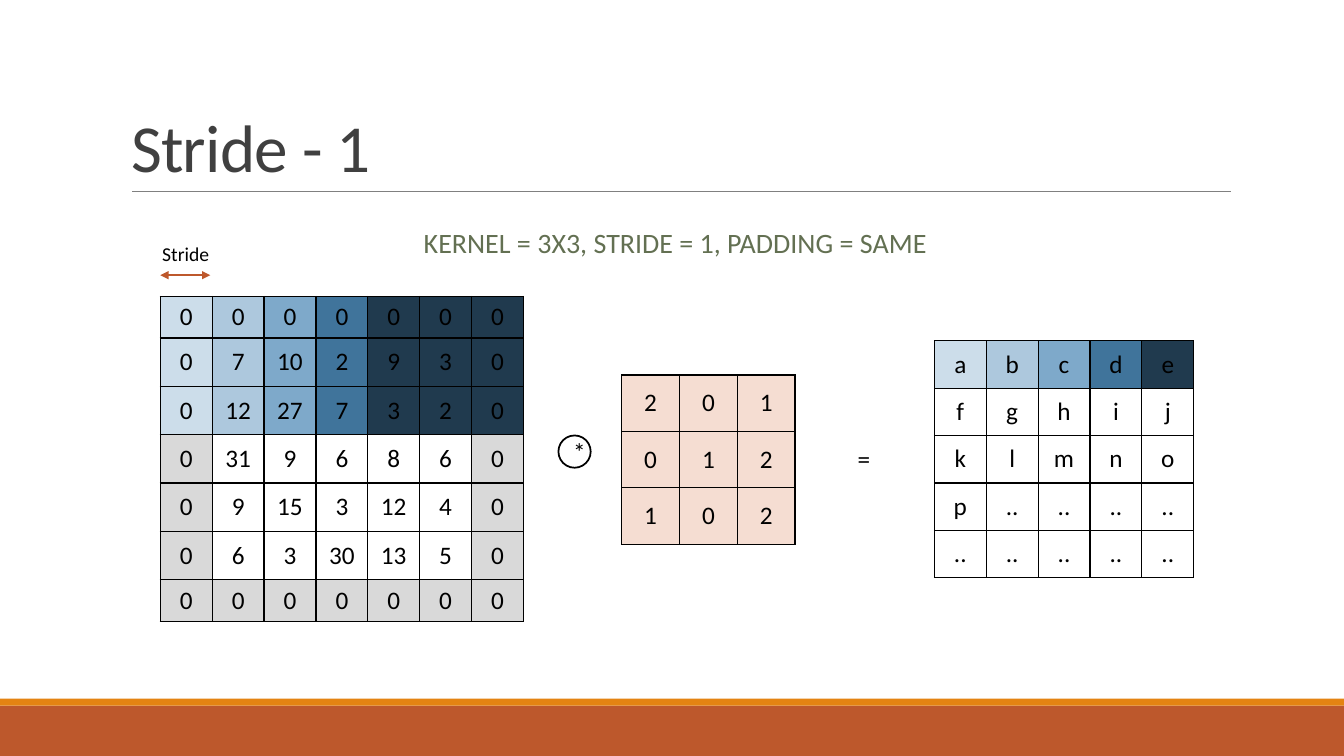
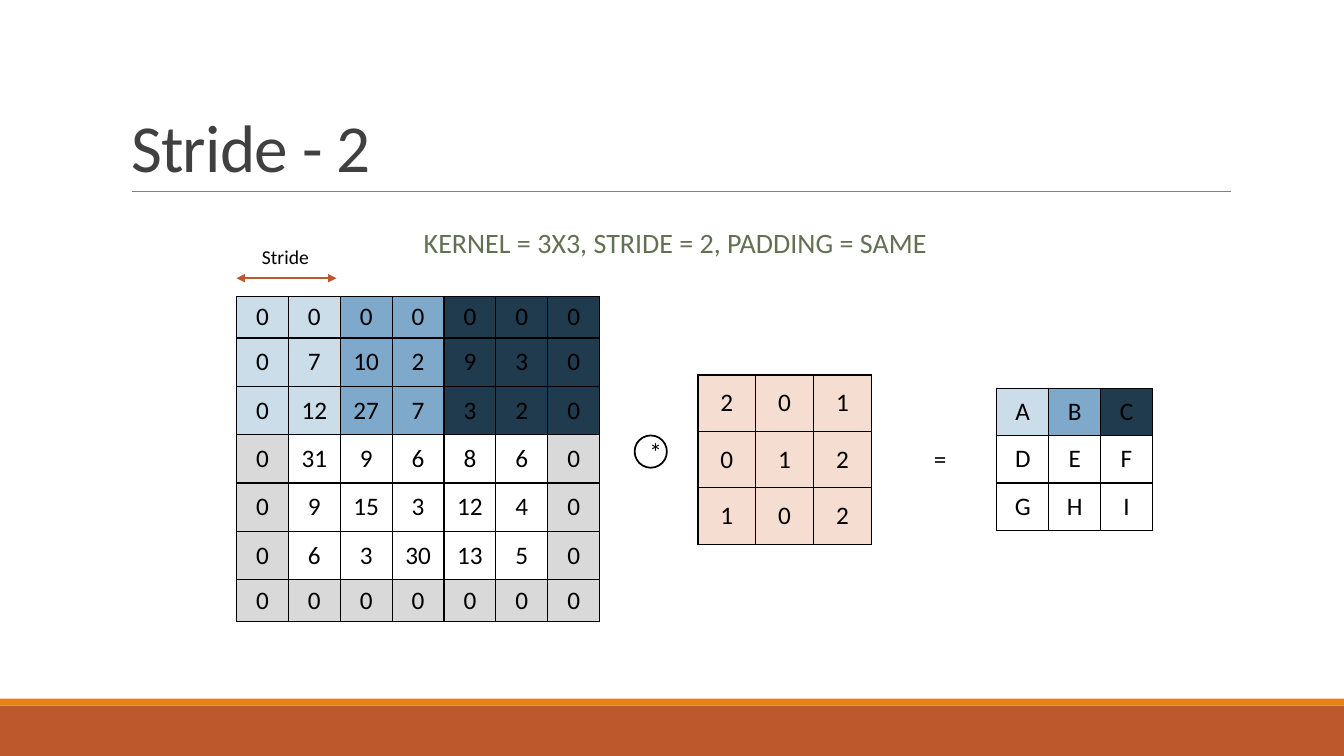
from dataclasses import dataclass

from lxml import etree
from pptx import Presentation
from pptx import util as u
from pptx.dml.color import RGBColor
from pptx.enum import shapes, text
from pptx.oxml import parse_xml
from pptx.oxml.ns import nsdecls, qn


@dataclass(frozen=True)
class Theme:
    font: str = "Calibri"
    black: str = "000000"
    title: str = "404040"
    subtitle: str = "637052"
    rule: str = "808080"
    rust: str = "BD582C"
    orange: str = "E48312"
    padding: str = "D9D9D9"
    kernel: str = "F5DDD2"
    blues: tuple = ("CCDDEA", "ADC8DD", "7EA9CA", "40749B", "203A4E")
    title_size: int = 48
    subtitle_size: int = 20
    text_size: int = 18
    label_size: int = 14


theme = Theme()
rgb = RGBColor.from_string
deck = Presentation()
deck.slide_width, deck.slide_height = u.Inches(13.333), u.Inches(7.5)

FIXED = {"auto_size": text.MSO_AUTO_SIZE.NONE, "word_wrap": True}
GROWING = {"auto_size": text.MSO_AUTO_SIZE.SHAPE_TO_FIT_TEXT, "word_wrap": True}
CENTRED = {"alignment": text.PP_ALIGN.CENTER}
STYLES = {
    "title": {
        "frame": {**FIXED, "vertical_anchor": text.MSO_ANCHOR.BOTTOM},
        "para": {"alignment": text.PP_ALIGN.LEFT, "line_spacing": 0.85},
        "font": {"size": u.Pt(theme.title_size)},
        "color": theme.title,
    },
    "subtitle": {
        "frame": {**FIXED, "vertical_anchor": text.MSO_ANCHOR.MIDDLE},
        "para": {**CENTRED, "line_spacing": 0.9,
                 "space_before": u.Pt(12), "space_after": u.Pt(2)},
        "font": {"size": u.Pt(theme.subtitle_size)},
        "color": theme.subtitle,
    },
    "cell": {"para": CENTRED, "font": {"size": u.Pt(theme.text_size)}},
    "operator": {
        "frame": {**FIXED, "vertical_anchor": text.MSO_ANCHOR.MIDDLE},
        "para": CENTRED,
        "font": {"size": u.Pt(theme.text_size)},
    },
    "equals": {"frame": GROWING, "font": {"size": u.Pt(theme.text_size)}},
    "label": {"frame": GROWING, "font": {"size": u.Pt(theme.label_size)}},
}


def area(left, top, width, height):
    """Turn percentages of the slide's width and height into lengths."""
    across, down = deck.slide_width / 100, deck.slide_height / 100
    return [round(n) for n in (left * across, top * down, width * across, height * down)]


def write(frame, words, style_name):
    """Fill a text frame with one styled paragraph and return that paragraph."""
    style = STYLES[style_name]
    frame.text = words
    para = frame.paragraphs[0]
    span = para.runs[0]
    for target, part in ((frame, "frame"), (para, "para"), (span.font, "font")):
        for name, value in style.get(part, {}).items():
            setattr(target, name, value)
    span.font.name = theme.font
    span.font.color.rgb = rgb(style.get("color", theme.black))
    return para


# Shared layout: placeholders, footer bands and the rule under the title
layout = deck.slide_layouts[1]
title_holder, body_holder, *unused = layout.placeholders
for holder in unused:
    holder.element.getparent().remove(holder.element)
for holder, place in ((title_holder, area(9, 4.13, 82.5, 21.2)),
                      (body_holder, area(30, 26.93, 40.5, 10.8))):
    holder.left, holder.top, holder.width, holder.height = place

pages = [deck.slides.add_slide(layout) for _ in range(2)]
decor = []
for color, place in ((theme.rust, area(0, 93.33, 100, 6.67)),
                     (theme.orange, area(0, 92.4, 100, 0.93))):
    band = pages[0].shapes.add_shape(shapes.MSO_SHAPE.RECTANGLE, *place)
    band.shadow.inherit = False
    band.fill.solid()
    band.fill.fore_color.rgb = rgb(color)
    band.line.fill.background()
    decor.append(band)
rule = pages[0].shapes.add_connector(
    shapes.MSO_CONNECTOR.STRAIGHT, *area(9.83, 25.33, 91.58, 25.33))
rule.line.color.rgb = rgb(theme.rule)
rule.line.width = u.Pt(0.5)
etree.SubElement(rule.element.spPr, qn("a:effectLst"))
decor.append(rule)
for order, part in enumerate(decor):
    part.element.xpath(".//p:cNvPr")[0].set("id", str(100 + order))
    layout.shapes.element.insert(2 + order, part.element)

# Values and measures of the convolution
PIXELS = [
    [0, 0, 0, 0, 0, 0, 0],
    [0, 7, 10, 2, 9, 3, 0],
    [0, 12, 27, 7, 3, 2, 0],
    [0, 31, 9, 6, 8, 6, 0],
    [0, 9, 15, 3, 12, 4, 0],
    [0, 6, 3, 30, 13, 5, 0],
    [0, 0, 0, 0, 0, 0, 0],
]
KERNEL = [[2, 0, 1], [0, 1, 2], [1, 0, 2]]
WINDOW = len(KERNEL)
COLUMN, KERNEL_COLUMN = 3.86, 4.3
PIXEL_ROWS = [5.47] + [6.4] * 5 + [5.47]
OUTPUT_ROW, KERNEL_ROW = 6.27, 7.47
STEP = 3.72

cases = [
    {"stride": 1, "left": 11.93, "output_left": 69.52, "arrow_top": 36.4,
     "label_shift": -0.6, "shades": theme.blues,
     "output": ["abcde", "fghij", "klmno", ["p"] + [".."] * 4, [".."] * 5]},
    {"stride": 2, "left": 17.6, "output_left": 74.17, "arrow_top": 36.8,
     "label_shift": 1.15, "shades": theme.blues[::2],
     "output": ["ABC", "DEF", "GHI"]},
]

for page, case in zip(pages, cases):
    stride, left, shades = case["stride"], case["left"], case["shades"]
    title = write(page.shapes.title.text_frame, f"Stride - {stride}", "title")
    title.runs[0].font._element.set("spc", "-50")
    subtitle = write(page.placeholders[1].text_frame,
                     f"KERNEL = 3X3, STRIDE = {stride}, PADDING = SAME", "subtitle")
    properties = subtitle._p.get_or_add_pPr()
    for name in ("marL", "indent"):
        properties.set(name, "0")
    etree.SubElement(properties, qn("a:buNone"))

    # Each stride of columns takes the shade of the output cell it feeds
    last = len(PIXELS) - 1
    pixel_fills = [
        [shades[min(col // stride, len(shades) - 1)] if row < WINDOW
         else theme.padding if row == last or col in (0, last) else None
         for col in range(last + 1)]
        for row in range(last + 1)]
    size = len(case["output"])
    output_fills = [shades] + [[None] * size] * (size - 1)
    kernel_fills = [[theme.kernel] * WINDOW] * WINDOW

    for values, fills, start, middle, column, rows in (
            (PIXELS, pixel_fills, left, 60.7, COLUMN, PIXEL_ROWS),
            (case["output"], output_fills, case["output_left"], 60.75, COLUMN,
             [OUTPUT_ROW] * size),
            (KERNEL, kernel_fills, left + 34.33, 60.8, KERNEL_COLUMN,
             [KERNEL_ROW] * WINDOW)):
        height, count = sum(rows), len(values[0])
        place = area(start, middle - height / 2, column * count, height)
        table = page.shapes.add_table(len(rows), count, *place).table
        table.first_row = table.horz_banding = False
        for grid_column in table.columns:
            grid_column.width = area(0, 0, column, 0)[2]
        for row, row_height in enumerate(rows):
            table.rows[row].height = area(0, 0, 0, row_height)[3]
            for col in range(count):
                cell = table.cell(row, col)
                write(cell.text_frame, str(values[row][col]), "cell")
                cell.vertical_anchor = text.MSO_ANCHOR.MIDDLE
                for side in "LRTB":
                    cell._tc.get_or_add_tcPr().append(parse_xml(
                        f'<a:ln{side} {nsdecls("a")} w="12700"><a:solidFill>'
                        f'<a:srgbClr val="{theme.black}"/></a:solidFill></a:ln{side}>'))
                if fills[row][col]:
                    cell.fill.solid()
                    cell.fill.fore_color.rgb = rgb(fills[row][col])
                else:
                    cell.fill.background()

    circle = page.shapes.add_shape(
        shapes.MSO_SHAPE.OVAL, *area(left + 29.62, 57.6, 2.4, 4.27))
    circle.shadow.inherit = False
    circle.fill.background()
    circle.line.color.rgb = rgb(theme.black)
    circle.line.width = u.Pt(1.25)
    write(circle.text_frame, "*", "operator")

    top = case["arrow_top"]
    for words, style_name, place in (
            ("=", "equals", area(left + 51.15, 58, 5.48, 5.33)),
            ("Stride", "label", area(left + case["label_shift"], top - 5.07, 8.63, 4.53))):
        box = page.shapes.add_textbox(*place)
        write(box.text_frame, words, style_name)

    arrow = page.shapes.add_connector(
        shapes.MSO_CONNECTOR.STRAIGHT, *area(left, top, left + STEP * stride, top))
    arrow.line.color.rgb = rgb(theme.rust)
    arrow.line.width = u.Pt(1)
    for end in ("a:headEnd", "a:tailEnd"):
        etree.SubElement(arrow.line._get_or_add_ln(), qn(end), type="triangle")
    etree.SubElement(arrow.element.spPr, qn("a:effectLst"))

deck.save("out.pptx")
